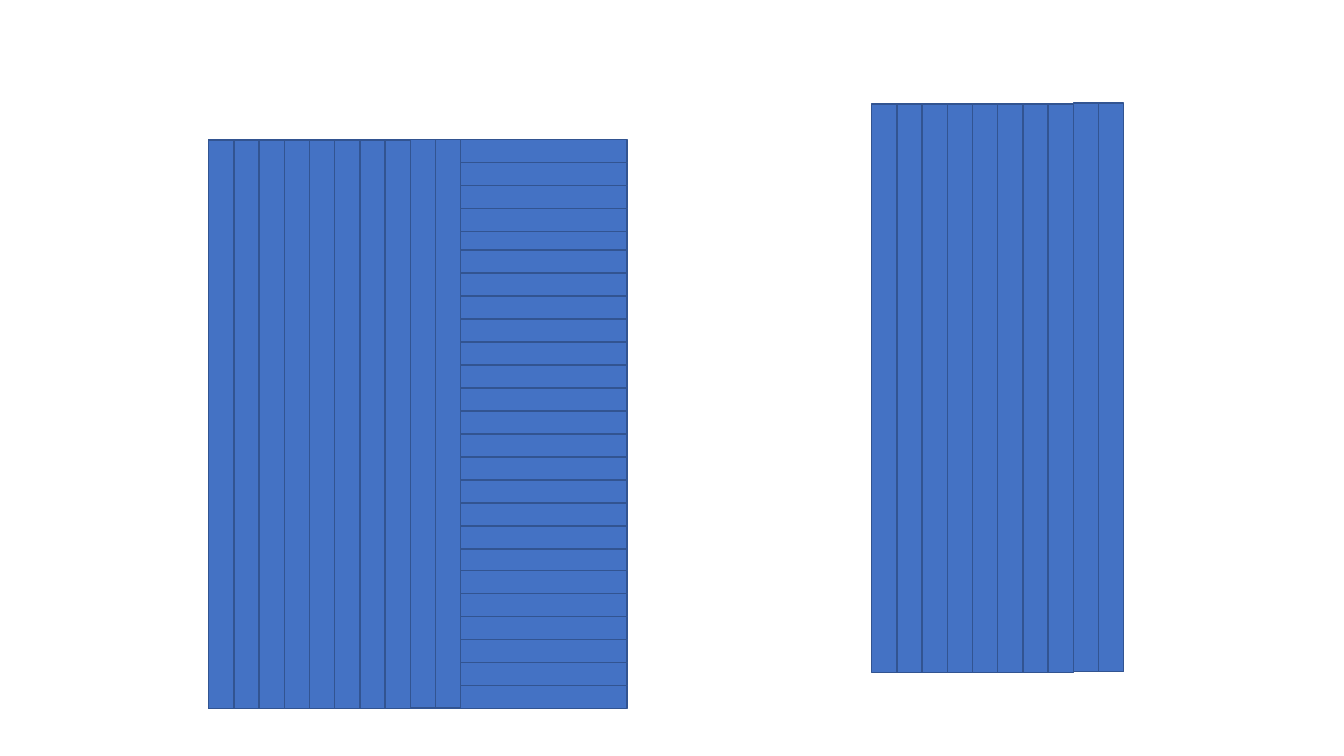
from pptx import Presentation
from pptx.dml.color import RGBColor
from pptx.enum.shapes import MSO_SHAPE
from pptx.util import Cm, Pt

RECT = MSO_SHAPE.RECTANGLE
COLORS = {"board": "4472C4", "edge": "325491"}
BOARD_STEP = 0.58
COLUMN_COUNT = 10
RAISED_FROM = 8
RAISE = 0.02


def add_board(s, left, top, width, height):
    """Add one outlined board, measured in centimetres."""
    sp = s.shapes.add_shape(RECT, Cm(left), Cm(top), Cm(width), Cm(height))
    sp.shadow.inherit = False
    sp.fill.solid()
    sp.fill.fore_color.rgb = RGBColor.from_string(COLORS["board"])
    sp.line.color.rgb = RGBColor.from_string(COLORS["edge"])
    sp.line.width = Pt(1)


def add_horizontal_boards(s, left, top, width, count):
    """Stack horizontal boards downwards from the given top."""
    for i in range(count):
        add_board(s, left, top + i * BOARD_STEP, width, BOARD_STEP)


def add_vertical_boards(s, left, top, width, height):
    """Fill a box with vertical boards, the last ones slightly raised."""
    step = width / COLUMN_COUNT
    for i in range(COLUMN_COUNT):
        lift = RAISE if i >= RAISED_FROM else 0
        add_board(s, left + i * step, top - lift, step, height)


def main():
    """Build the slide with both board layouts."""
    prs = Presentation()
    prs.slide_width, prs.slide_height = Cm(33.87), Cm(19.05)
    s = prs.slides.add_slide(prs.slide_layouts[6])
    for top, count in ((13.79, 7), (5.72, 14), (3.51, 4)):
        add_horizontal_boards(s, 5.26, top, 10.54, count)
    for left, top in ((5.26, 3.53), (21.97, 2.62)):
        add_vertical_boards(s, left, top, 6.35, 14.33)
    prs.save("out.pptx")


if __name__ == "__main__":
    main()
